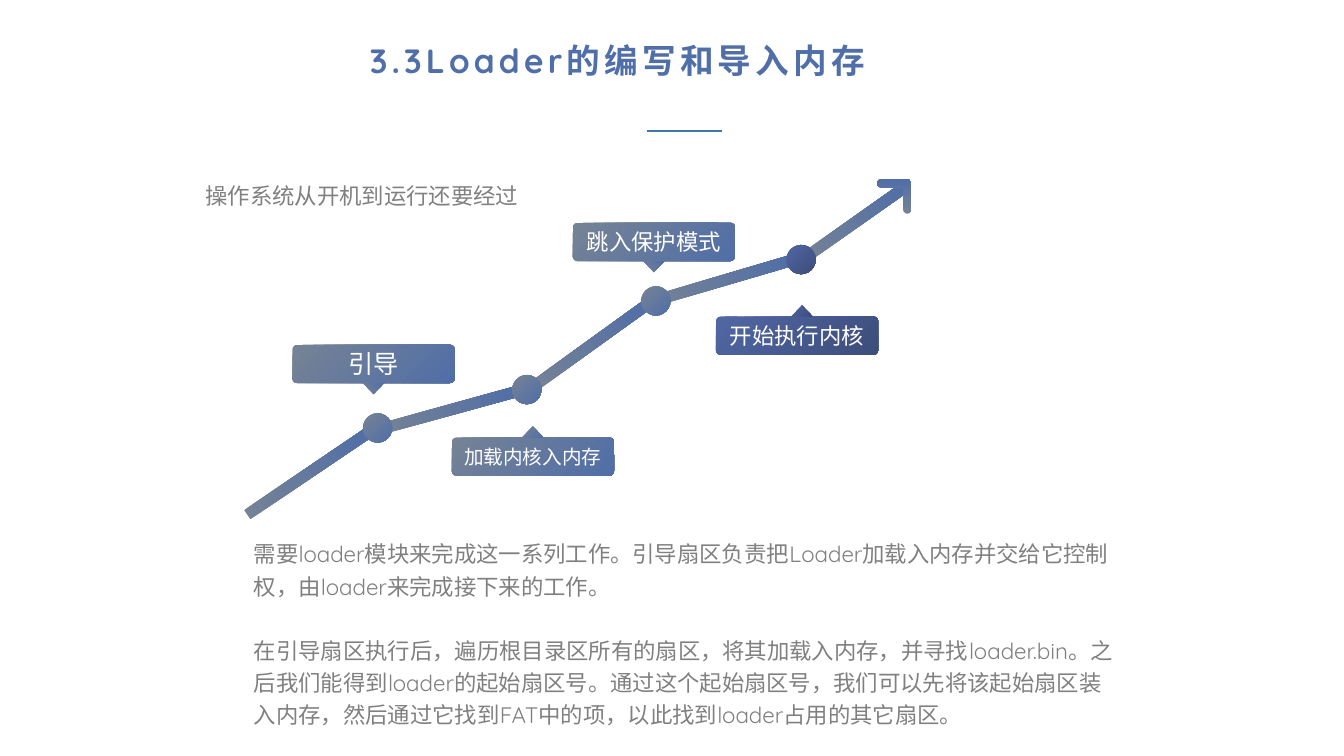
from math import cos, radians, sin
from pptx import Presentation
from pptx.dml.color import RGBColor
from pptx.enum.shapes import MSO_CONNECTOR, MSO_SHAPE
from pptx.enum.text import MSO_ANCHOR, PP_ALIGN
from pptx.oxml.ns import qn
from pptx.util import Inches, Pt
from lxml import etree

STEEL = RGBColor(0x76, 0x83, 0x95)
BLUE = RGBColor(0x50, 0x6E, 0xA7)
INDIGO = RGBColor(0x51, 0x67, 0xA4)
NAVY = RGBColor(0x3D, 0x4D, 0x7B)
RULE_BLUE = RGBColor(0x42, 0x76, 0xAA)
GRAY = RGBColor(0x80, 0x80, 0x80)
WHITE = RGBColor(0xFF, 0xFF, 0xFF)
LIGHT = (STEEL, BLUE)
DARK = (INDIGO, NAVY)


def paint(shape, colors, angle):
    shape.shadow.inherit = False
    shape.line.fill.background()
    shape.fill.gradient()
    shape.fill.gradient_angle = angle
    for stop, color in zip(shape.fill.gradient_stops, colors):
        stop.color.rgb = color


def write(para, text, size, color):
    span = para.add_run()
    span.text = text
    span.font.name = "Quicksand"
    span.font.size = Pt(size)
    span.font.color.rgb = color
    return span


deck = Presentation()
deck.slide_width = Inches(13.33)
deck.slide_height = Inches(7.5)
page = deck.slides.add_slide(deck.slide_layouts[6])

for left, top, width, rotation in [
    (6.45, 2.73, 1.43, 343.6),
    (5.13, 3.38, 1.43, 324.2),
    (3.72, 4.02, 1.43, 344.6),
    (2.33, 4.65, 1.43, 325.9),
    (7.86, 2.16, 1.22, 324.8),
]:
    bar = page.shapes.add_shape(MSO_SHAPE.RECTANGLE, Inches(left), Inches(top),
                                Inches(width), Inches(0.11))
    bar.rotation = rotation
    paint(bar, LIGHT, 0)

radius = 0.04
outline = []
for center_x, center_y, start, end in [
    (9, 1.82, -90, 0),
    (9, 2.08, 0, 180),
    (8.96, 1.86, 0, 0),
    (8.74, 1.82, 90, 270),
]:
    if start == end:
        outline.append((Inches(center_x), Inches(center_y)))
        continue
    for angle in range(start, end + 1, 15):
        outline.append((Inches(center_x + radius * cos(radians(angle))),
                        Inches(center_y + radius * sin(radians(angle)))))
builder = page.shapes.build_freeform(*outline[0])
builder.add_line_segments(outline[1:], close=True)
paint(builder.convert_to_shape(), LIGHT, 90)

for left, top, colors in [
    (3.6, 4.1, LIGHT), (5.08, 3.72, LIGHT), (6.36, 2.84, LIGHT), (7.8, 2.43, DARK),
]:
    dot = page.shapes.add_shape(MSO_SHAPE.OVAL, Inches(left), Inches(top),
                                Inches(0.29), Inches(0.29))
    paint(dot, colors, 315)

label_height, pointer_height = 0.38, 0.11
for text, size, left, top, pointer_left, points_down, colors in [
    ("加载内核入内存", 14, 4.48, 4.34, 5.18, False, LIGHT),
    ("引导", 18, 2.9, 3.42, 3.6, True, LIGHT),
    ("开始执行内核", 16, 7.1, 3.14, 7.85, False, DARK),
    ("跳入保护模式", 16, 5.68, 2.21, 6.38, True, LIGHT),
]:
    label = page.shapes.add_shape(MSO_SHAPE.ROUNDED_RECTANGLE, Inches(left), Inches(top),
                                  Inches(1.61), Inches(label_height))
    label.adjustments[0] = 0.12
    paint(label, colors, 315)
    label.text_frame.vertical_anchor = MSO_ANCHOR.MIDDLE
    para = label.text_frame.paragraphs[0]
    para.alignment = PP_ALIGN.CENTER
    write(para, text, size, WHITE)
    pointer_top = top + label_height if points_down else top - pointer_height
    pointer = page.shapes.add_shape(MSO_SHAPE.ISOSCELES_TRIANGLE, Inches(pointer_left),
                                    Inches(pointer_top), Inches(0.21), Inches(pointer_height))
    if points_down:
        pointer._element.spPr.find(qn("a:xfrm")).set("flipV", "1")
    paint(pointer, colors, 315)

body = page.shapes.add_textbox(Inches(2.42), Inches(5.26), Inches(8.75), Inches(2.04))
body.text_frame.word_wrap = True
first = body.text_frame.paragraphs[0]
second = body.text_frame.add_paragraph()
second.space_before = Pt(23)
for para, text in [
    (first, "需要loader模块来完成这一系列工作。引导扇区负责把Loader加载入内存并交给它控制权，"
            "由loader来完成接下来的工作。"),
    (second, "在引导扇区执行后，遍历根目录区所有的扇区，将其加载入内存，并寻找loader.bin。"
             "之后我们能得到loader的起始扇区号。通过这个起始扇区号，我们可以先将该起始扇区装入内存，"
             "然后通过它找到FAT中的项，以此找到loader占用的其它扇区。"),
]:
    para.line_spacing = 1.2
    write(para, text, 16, GRAY)

intro = page.shapes.add_textbox(Inches(1.94), Inches(1.79), Inches(3.74), Inches(0.52))
intro.text_frame.word_wrap = True
para = intro.text_frame.paragraphs[0]
para.line_spacing = 0.9
para.space_before = Pt(16)
write(para, "操作系统从开机到运行还要经过", 16, GRAY)

title = page.shapes.add_textbox(Inches(3.67), Inches(0.4), Inches(6.13), Inches(0.4))
frame = title.text_frame
frame.word_wrap = True
frame.margin_left = frame.margin_right = frame.margin_top = frame.margin_bottom = 0
para = frame.paragraphs[0]
para.alignment = PP_ALIGN.JUSTIFY
span = write(para, "3.3Loader的编写和导入内存", 24, BLUE)
span.font.bold = True
span.font._element.set("spc", "300")

rule = page.shapes.add_connector(MSO_CONNECTOR.STRAIGHT, Inches(6.42), Inches(1.3),
                                 Inches(7.16), Inches(1.3))
rule.line.color.rgb = RULE_BLUE
rule.line.width = Pt(2)
etree.SubElement(rule._element.spPr, qn("a:effectLst"))

deck.save("out.pptx")
